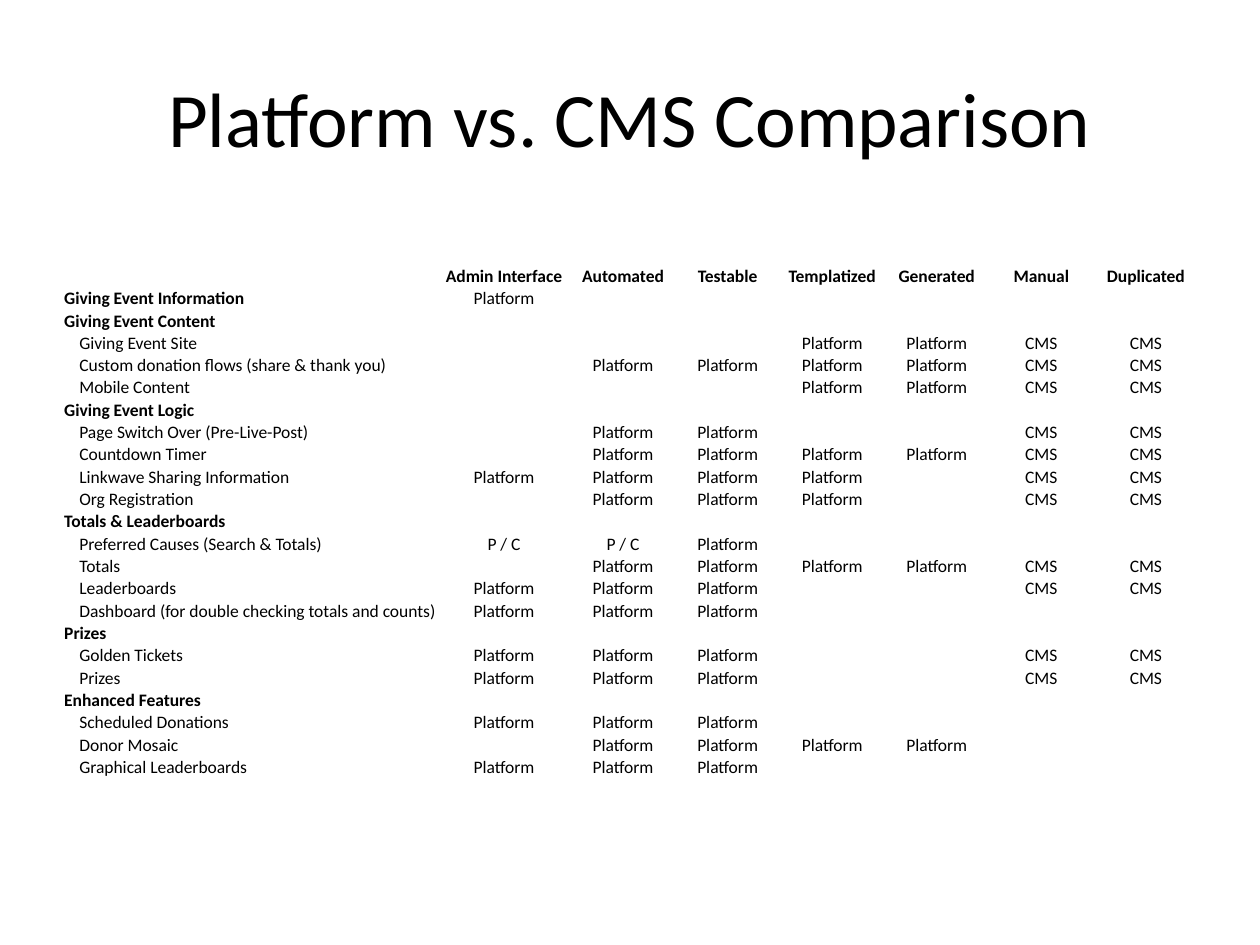
"""Build a slide with a table comparing the platform and the CMS by feature."""
from dataclasses import dataclass

from lxml.etree import SubElement
from pptx import Presentation
from pptx.dml.color import RGBColor
from pptx.enum.text import MSO_ANCHOR as Anchor, PP_ALIGN as Align
from pptx.oxml.ns import qn
from pptx.util import Inches, Pt

FONT = "Calibri"
BLACK = "000000"
BODY_SIZE = 10
ROW_HEIGHT = 0.17
COLUMN_WIDTHS = [2.97, 1.06] + [0.83] * 6
HEADINGS = ["", "Admin Interface", "Automated", "Testable", "Templatized",
            "Generated", "Manual", "Duplicated"]
SYSTEMS = {"P": "Platform", "C": "CMS", "B": "P / C", ".": ""}


@dataclass
class Feature:
    name: str
    marks: str = "......."
    is_group: bool = False


FEATURES = [
    Feature("Giving Event Information", "P......", True),
    Feature("Giving Event Content", is_group=True),
    Feature("Giving Event Site", "...PPCC"),
    Feature("Custom donation flows (share & thank you)", ".PPPPCC"),
    Feature("Mobile Content", "...PPCC"),
    Feature("Giving Event Logic", is_group=True),
    Feature("Page Switch Over (Pre-Live-Post)", ".PP..CC"),
    Feature("Countdown Timer", ".PPPPCC"),
    Feature("Linkwave Sharing Information", "PPPP.CC"),
    Feature("Org Registration", ".PPP.CC"),
    Feature("Totals & Leaderboards", is_group=True),
    Feature("Preferred Causes (Search & Totals)", "BBP...."),
    Feature("Totals", ".PPPPCC"),
    Feature("Leaderboards", "PPP..CC"),
    Feature("Dashboard (for double checking totals and counts)", "PPP...."),
    Feature("Prizes", is_group=True),
    Feature("Golden Tickets", "PPP..CC"),
    Feature("Prizes", "PPP..CC"),
    Feature("Enhanced Features", is_group=True),
    Feature("Scheduled Donations", "PPP...."),
    Feature("Donor Mosaic", ".PPPP.."),
    Feature("Graphical Leaderboards", "PPP...."),
]


def color(value: str) -> RGBColor:
    return RGBColor.from_string(value)


def add_run(paragraph, text: str, size: float, bold: bool = False) -> None:
    run = paragraph.add_run()
    run.text = text
    run.font.name = FONT
    run.font.size = Pt(size)
    run.font.bold = bold
    run.font.color.rgb = color(BLACK)


def add_title(slide, text: str) -> None:
    shape = slide.shapes.add_textbox(Inches(0.5), Inches(0.3), Inches(9), Inches(1.25))
    frame = shape.text_frame
    frame.word_wrap = True
    frame.vertical_anchor = Anchor.MIDDLE
    paragraph = frame.paragraphs[0]
    paragraph.alignment = Align.CENTER
    add_run(paragraph, text, 44)


def fill_cell(cell, text: str, bold: bool = False, align: Align = Align.CENTER,
              indent: float = 0.01) -> None:
    cell.fill.background()
    cell.vertical_anchor = Anchor.BOTTOM
    cell.margin_left = Inches(indent)
    cell.margin_top = cell.margin_right = Inches(0.01)
    cell.margin_bottom = 0
    paragraph = cell.text_frame.paragraphs[0]
    paragraph.alignment = align
    if text:
        add_run(paragraph, text, BODY_SIZE, bold)
    else:
        SubElement(paragraph._p, qn("a:endParaRPr"), sz=str(BODY_SIZE * 100))


def add_comparison(slide, features: list[Feature]) -> None:
    height = Inches(4.26)
    shape = slide.shapes.add_table(len(features) + 1, len(HEADINGS),
                                   Inches(0.5), Inches(2.1), Inches(9), height)
    table = shape.table
    table.first_row = table.horz_banding = False
    for column, width in zip(table.columns, COLUMN_WIDTHS):
        column.width = Inches(width)
    for row in table.rows:
        row.height = Inches(ROW_HEIGHT)
    shape.height = height

    for column, heading in enumerate(HEADINGS):
        fill_cell(table.cell(0, column), heading, bold=True)
    for row, feature in enumerate(features, start=1):
        indent = 0.01 if feature.is_group else 0.13
        fill_cell(table.cell(row, 0), feature.name, feature.is_group, Align.LEFT, indent)
        for column, mark in enumerate(feature.marks, start=1):
            fill_cell(table.cell(row, column), SYSTEMS[mark])


def main() -> None:
    presentation = Presentation()
    presentation.slide_width = Inches(10)
    presentation.slide_height = Inches(7.5)
    slide = presentation.slides.add_slide(presentation.slide_layouts[6])
    add_title(slide, "Platform vs. CMS Comparison")
    add_comparison(slide, FEATURES)
    presentation.save("out.pptx")


if __name__ == "__main__":
    main()
